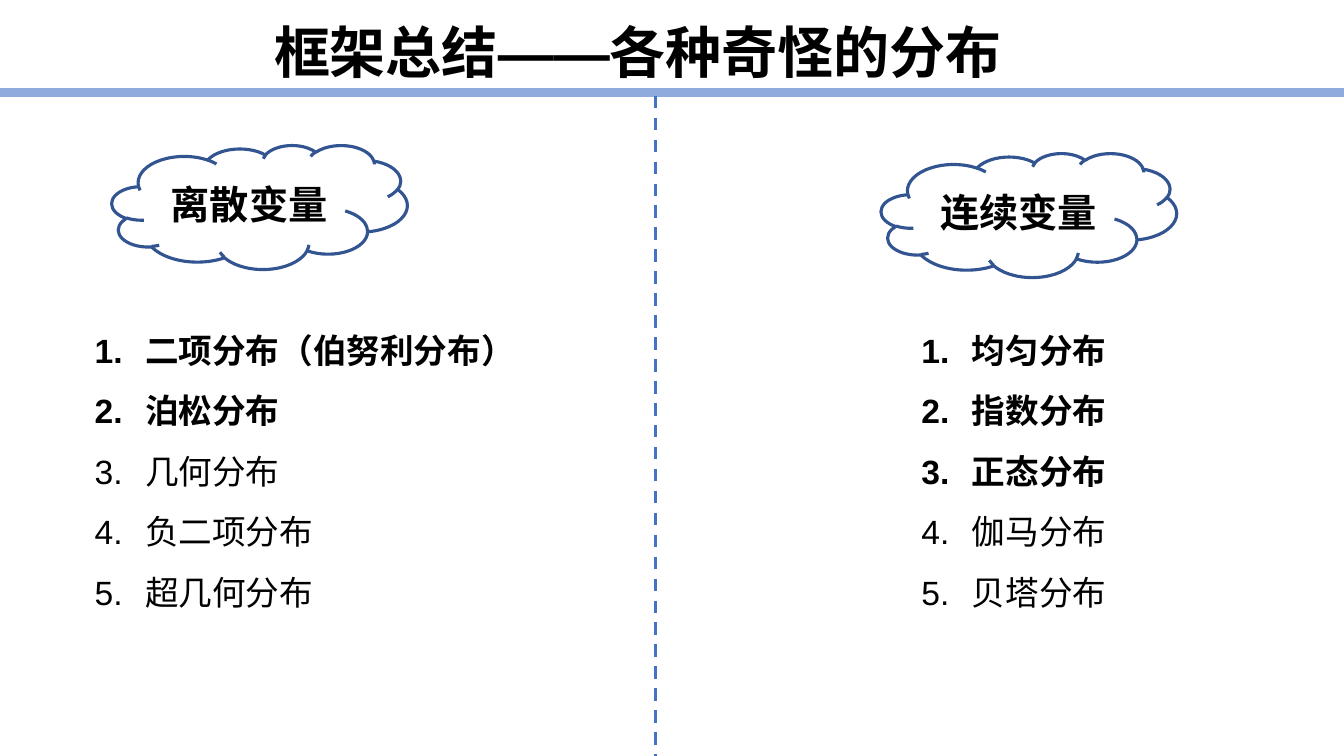
"""Build a slide that sums up discrete and continuous distributions."""
import pptx
import pptx.util
import pptx.dml.color
import pptx.enum.dml
import pptx.enum.shapes
import pptx.enum.text
import pptx.oxml.ns
from lxml import etree

TITLE = "框架总结——各种奇怪的分布"
GROUPS = [
    {"name": "离散变量", "cloud": (1.11, 1.44), "list": (0.84, 4.41), "bold": 2,
     "items": ["二项分布（伯努利分布）", "泊松分布", "几何分布", "负二项分布", "超几何分布"]},
    {"name": "连续变量", "cloud": (8.74, 1.52), "list": (9.04, 2.05), "bold": 3,
     "items": ["均匀分布", "指数分布", "正态分布", "伽马分布", "贝塔分布"]},
]
COLORS = {"text": "000000", "bar": "8FAADC", "divider": "4472C4", "cloud": "325491"}
FONT = "Arial"
W, H = 13.33, 7.5
BAR_Y, DIVIDER_X, DIVIDER_Y = 0.92, 6.5, 0.95
CLOUD_W, CLOUD_H = 2.93, 1.23
LIST_Y, LIST_H = 3.02, 3.07
INDENT = 0.5

qn = pptx.oxml.ns.qn
Inches = pptx.util.Inches
CENTER = pptx.enum.text.PP_ALIGN.CENTER


def color(name):
    return pptx.dml.color.RGBColor.from_string(COLORS[name])


def add_run(p, text, size, bold=True):
    r = p.add_run()
    r.text = text
    r.font.size = pptx.util.Pt(size)
    r.font.bold = bold
    r.font.name = FONT
    r.font.color.rgb = color("text")
    etree.SubElement(r.font._element, qn("a:ea"), typeface=FONT)


def add_line(s, x1, y1, x2, y2, name, width):
    line = s.shapes.add_connector(pptx.enum.shapes.MSO_CONNECTOR.STRAIGHT,
                                  *map(Inches, (x1, y1, x2, y2)))
    line.line.color.rgb = color(name)
    line.line.width = pptx.util.Pt(width)
    etree.SubElement(line._element.spPr, qn("a:effectLst"))
    return line


def add_cloud(s, x, y, text):
    sp = s.shapes.add_shape(pptx.enum.shapes.MSO_SHAPE.CLOUD,
                            *map(Inches, (x, y, CLOUD_W, CLOUD_H)))
    sp.shadow.inherit = False
    sp.fill.background()
    sp.line.color.rgb = color("cloud")
    sp.line.width = pptx.util.Pt(2.25)
    tf = sp.text_frame
    tf.vertical_anchor = pptx.enum.text.MSO_ANCHOR.MIDDLE
    p = tf.paragraphs[0]
    p.alignment = CENTER
    add_run(p, text, 28)


def add_text_box(s, x, y, w, h):
    tf = s.shapes.add_textbox(*map(Inches, (x, y, w, h))).text_frame
    tf.word_wrap = False
    tf.auto_size = pptx.enum.text.MSO_AUTO_SIZE.SHAPE_TO_FIT_TEXT
    return tf


def add_list(s, x, w, items, bold_count):
    tf = add_text_box(s, x, LIST_Y, w, LIST_H)
    for i, item in enumerate(items):
        p = tf.paragraphs[0] if i == 0 else tf.add_paragraph()
        p.line_spacing = 1.5
        pPr = p._p.get_or_add_pPr()
        pPr.set("marL", str(Inches(INDENT)))
        pPr.set("indent", str(-Inches(INDENT)))
        etree.SubElement(pPr, qn("a:buFont"), typeface="+mj-lt")
        etree.SubElement(pPr, qn("a:buAutoNum"), type="arabicPeriod")
        add_run(p, item, 24, i < bold_count)


def main():
    prs = pptx.Presentation()
    prs.slide_width, prs.slide_height = Inches(W), Inches(H)
    s = prs.slides.add_slide(prs.slide_layouts[6])

    p = add_text_box(s, 2.58, 0.12, 7.49, 0.77).paragraphs[0]
    p.alignment = CENTER
    add_run(p, TITLE, 40)

    add_line(s, 0, BAR_Y, W, BAR_Y, "bar", 6)
    divider = add_line(s, DIVIDER_X, DIVIDER_Y, DIVIDER_X, H, "divider", 2.25)
    divider.line.dash_style = pptx.enum.dml.MSO_LINE.DASH

    for group in GROUPS:
        add_list(s, *group["list"], group["items"], group["bold"])
        add_cloud(s, *group["cloud"], group["name"])

    prs.save("out.pptx")


if __name__ == "__main__":
    main()
